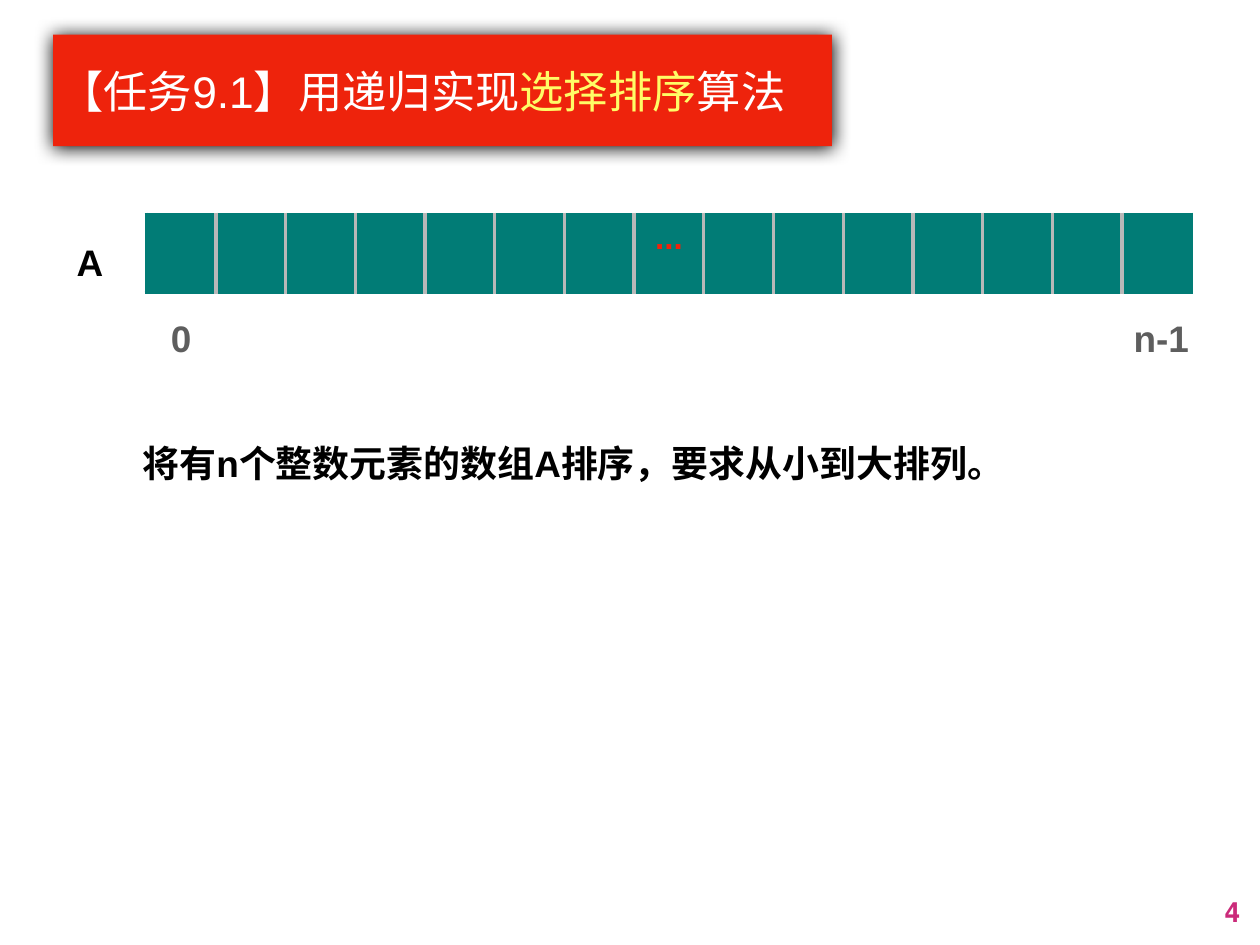
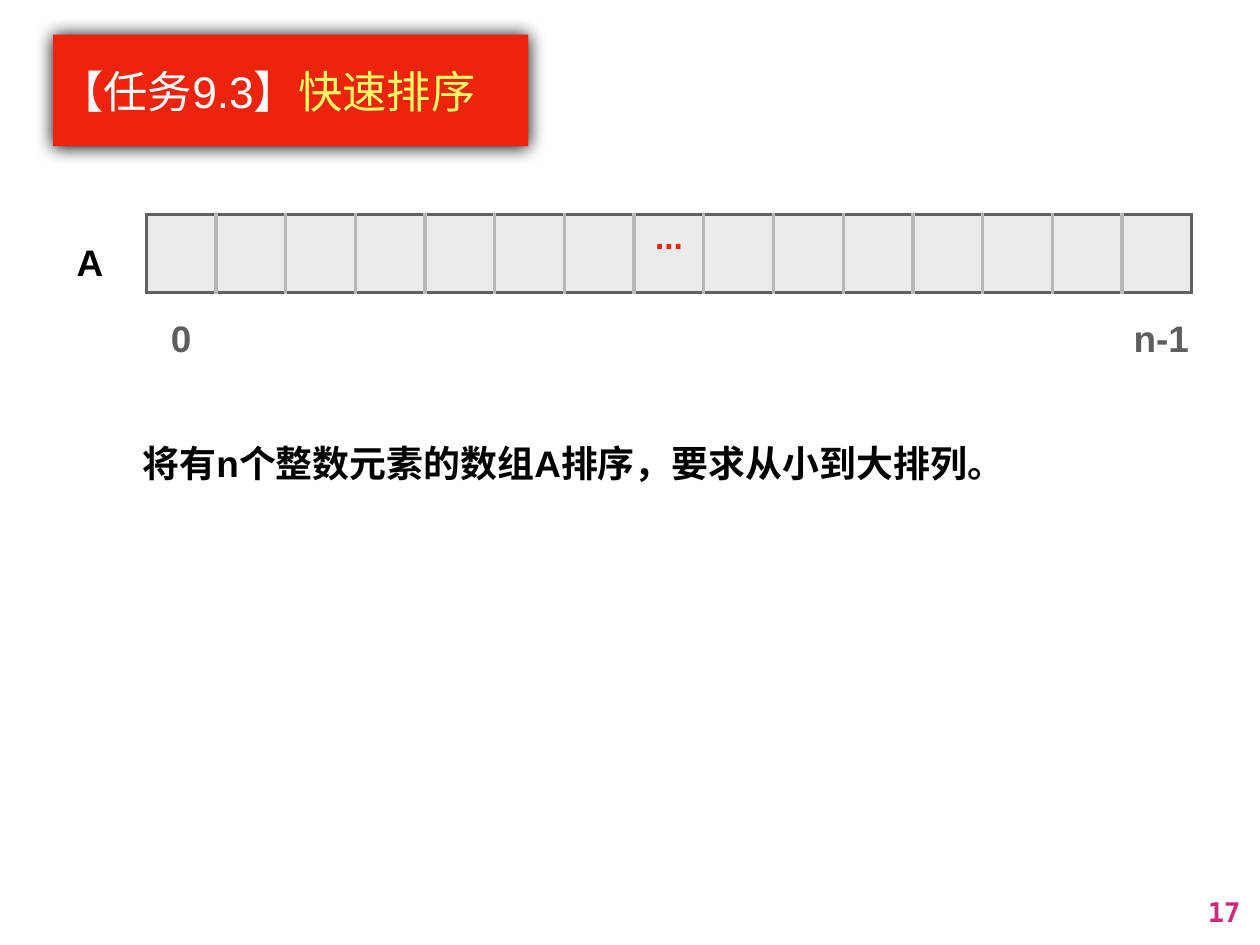
from dataclasses import dataclass

from lxml.etree import SubElement
from pptx import Presentation
from pptx.dml.color import RGBColor
from pptx.enum.lang import MSO_LANGUAGE_ID as Lang
from pptx.enum.text import MSO_ANCHOR as Anchor, MSO_AUTO_SIZE as AutoSize, PP_ALIGN as Align
from pptx.oxml.ns import qn
from pptx.util import Inches, Pt


@dataclass(frozen=True)
class Theme:
    font: str = "Arial"
    number_font: str = "DejaVu Sans Mono"
    title_size: int = 36
    label_size: int = 30
    dots_size: int = 27
    number_size: int = 22
    border_width: int = 3
    line_spacing: float = 1.4
    red: str = "EE230C"
    yellow: str = "FFFC66"
    white: str = "FFFFFF"
    black: str = "000000"
    index_gray: str = "5E5E5E"
    divider: str = "B8B8B8"
    magenta: str = "CB2A7A"


@dataclass(frozen=True)
class Box:
    left: float
    top: float
    width: float
    height: float

    def inches(self):
        return [Inches(v) for v in (self.left, self.top, self.width, self.height)]


THEME = Theme()
SLIDE_WIDTH, SLIDE_HEIGHT = 14.22, 10.67
CELL_COUNT, DOTS_CELL = 15, 7
ARRAY_BOX = Box(1.65, 2.42, 11.8, 0.88)
LABEL_HEIGHT = 0.61
TASK = "将有n个整数元素的数组A排序，要求从小到大排列。"

# title runs, title width, cell fill, outer edge, page number
SLIDES = [
    ([("【任务9.1】用递归实现", THEME.white), ("选择排序", THEME.yellow), ("算法", THEME.white)],
     8.79, "017C76", "017C76", 4),
    ([("【任务9.3】", THEME.white), ("快速排序", THEME.yellow)],
     5.36, "EBEBEB", "606060", 17),
]


def write_text(frame, runs, size, font=THEME.font, bold=True, align=Align.LEFT,
               anchor=Anchor.MIDDLE, inset=0.06, spacing=None, wrap=True):
    """Fill a text frame with one paragraph of (text, colour) runs."""
    frame.auto_size = AutoSize.NONE
    frame.word_wrap = wrap
    frame.vertical_anchor = anchor
    frame.margin_left = frame.margin_right = Inches(inset)
    frame.margin_top = frame.margin_bottom = Inches(inset)
    paragraph = frame.paragraphs[0]
    paragraph.alignment = align
    if spacing:
        paragraph.line_spacing = spacing
    for text, color in runs:
        run = paragraph.add_run()
        run.text = text
        run.font.name = font
        run.font.size = Pt(size)
        run.font.bold = bold
        run.font.color.rgb = RGBColor.from_string(color)
        run.font.language_id = Lang.SIMPLIFIED_CHINESE


def add_text(slide, box, text, color, size=THEME.label_size, **text_format):
    frame = slide.shapes.add_textbox(*box.inches()).text_frame
    write_text(frame, [(text, color)], size, **text_format)


def add_shadow(shape, blur, distance, direction):
    """Add an opaque black outer shadow; blur and distance are in points."""
    effects = SubElement(shape.element.spPr, qn("a:effectLst"))
    shadow = SubElement(effects, qn("a:outerShdw"), blurRad=str(Pt(blur)), dist=str(Pt(distance)),
                        dir=str(direction * 60000), rotWithShape="0")
    SubElement(shadow, qn("a:srgbClr"), val=THEME.black)


def place_title(slide, box, runs):
    title = slide.shapes.title
    title.left, title.top, title.width, title.height = box.inches()
    title.fill.solid()
    title.fill.fore_color.rgb = RGBColor.from_string(THEME.red)
    write_text(title.text_frame, runs, THEME.title_size, bold=False, inset=0.07)
    add_shadow(title, blur=15, distance=0.7, direction=90)


def set_borders(cell, **colors):
    """Draw the sides L, R, T and B; call before the cell is filled."""
    properties = cell._tc.get_or_add_tcPr()
    for side, color in colors.items():
        line = SubElement(properties, qn(f"a:ln{side}"), w=str(Pt(THEME.border_width)))
        fill = SubElement(line, qn("a:solidFill"))
        SubElement(fill, qn("a:srgbClr"), val=color)


def add_array(slide, box, fill, edge):
    """Place the row of cells with its name and its first and last index."""
    table = slide.shapes.add_table(1, CELL_COUNT, *box.inches()).table
    table.first_row = table.horz_banding = False
    cell_width = box.width / CELL_COUNT
    for index, cell in enumerate(table.iter_cells()):
        table.columns[index].width = Inches(cell_width)
        set_borders(cell,
                    L=edge if index == 0 else THEME.divider,
                    R=edge if index == CELL_COUNT - 1 else THEME.divider,
                    T=edge, B=edge)
        cell.fill.solid()
        cell.fill.fore_color.rgb = RGBColor.from_string(fill)
    dots = table.cell(0, DOTS_CELL)
    dots.margin_left = dots.margin_right = Inches(0.06)
    dots.margin_top = dots.margin_bottom = Inches(0.06)
    paragraph = dots.text_frame.paragraphs[0]
    paragraph.alignment = Align.CENTER
    paragraph.text = "..."
    font = paragraph.runs[0].font
    font.name, font.size, font.bold = THEME.font, Pt(THEME.dots_size), True
    font.color.rgb = RGBColor.from_string(THEME.red)

    label_format = dict(align=Align.CENTER, spacing=THEME.line_spacing, wrap=False)
    name_top = box.top + (box.height - LABEL_HEIGHT) / 2
    add_text(slide, Box(box.left - 0.84, name_top, 0.41, LABEL_HEIGHT), "A", THEME.black,
             **label_format)
    last_left = box.left + box.width - cell_width + 0.05
    for left, text in ((box.left, "0"), (last_left, "n-1")):
        add_text(slide, Box(left, box.top + 0.99, cell_width, LABEL_HEIGHT), text,
                 THEME.index_gray, **label_format)


def add_page_number(slide, number):
    width, height, margin = 0.6, 0.5, 0.15
    box = Box(SLIDE_WIDTH - margin - width, SLIDE_HEIGHT - 0.13 - height, width, height)
    add_text(slide, box, str(number), THEME.magenta, size=THEME.number_size,
             font=THEME.number_font, align=Align.RIGHT, anchor=Anchor.TOP, inset=0.07)


def add_task_slide(deck, title_runs, title_width, fill, edge, number):
    slide = deck.slides.add_slide(deck.slide_layouts[5])
    add_page_number(slide, number)
    place_title(slide, Box(0.6, 0.39, title_width, 1.26), title_runs)
    add_array(slide, ARRAY_BOX, fill, edge)
    add_text(slide, Box(ARRAY_BOX.left - 0.1, 4.78, 9.82, 0.69), TASK, THEME.black,
             spacing=THEME.line_spacing)


def main():
    deck = Presentation()
    deck.slide_width, deck.slide_height = Inches(SLIDE_WIDTH), Inches(SLIDE_HEIGHT)
    for content in SLIDES:
        add_task_slide(deck, *content)
    deck.save("out.pptx")


if __name__ == "__main__":
    main()
